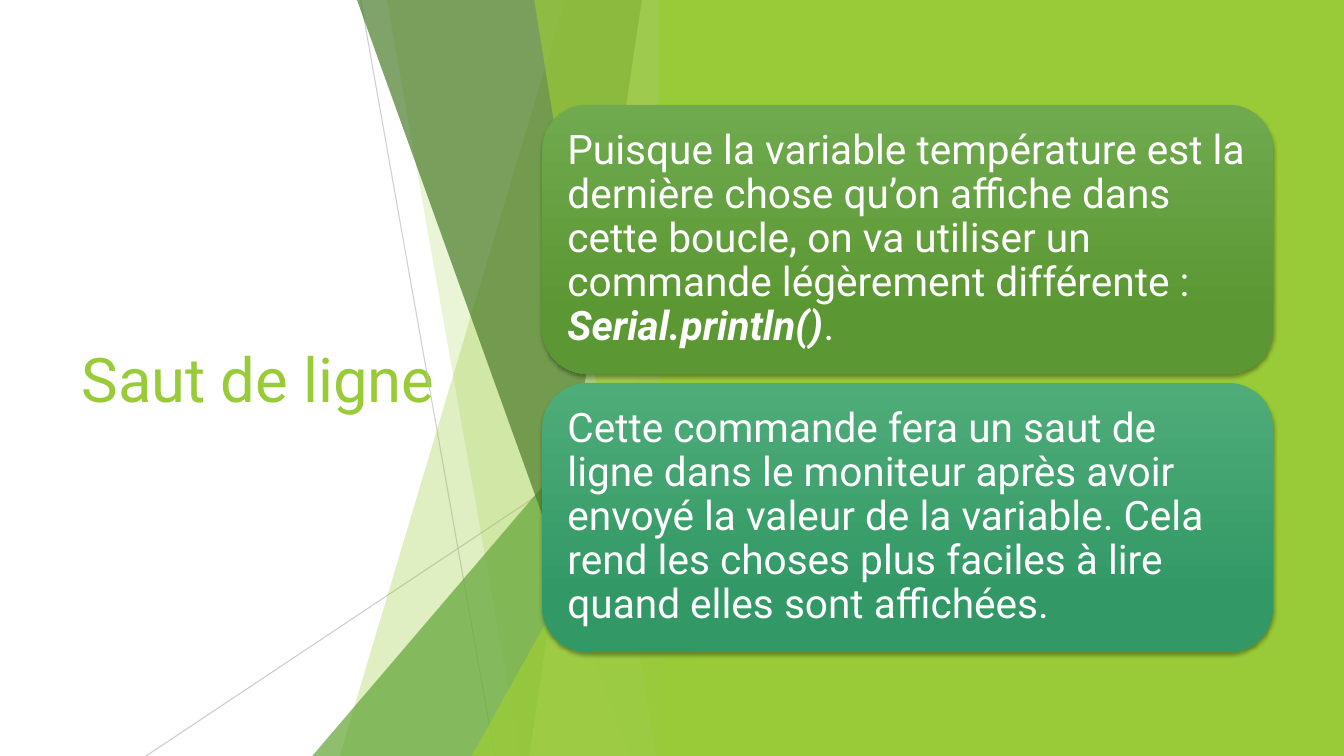
from lxml import etree
from pptx import Presentation
from pptx.dml.color import RGBColor
from pptx.enum.shapes import MSO_CONNECTOR, MSO_SHAPE
from pptx.enum.text import MSO_ANCHOR, MSO_AUTO_SIZE, PP_ALIGN
from pptx.oxml import parse_xml
from pptx.oxml.ns import nsdecls, qn
from pptx.util import Cm, Pt

WIDTH, HEIGHT = 33.87, 19.05
FACET_RIGHT = 16.92
LIME, LEAF, FOREST, PALE = "99CB38", "63A537", "4A7C29", "C2E088"
GREY, WHITE = "BFBFBF", "FFFFFF"


def rgb(value):
    return RGBColor.from_string(value)


def set_opacity(shape, percent):
    for color in shape.element.spPr.iter(qn("a:srgbClr")):
        etree.SubElement(color, qn("a:alpha")).set("val", str(percent * 1000))


class SlideBuilder:
    """Holds the text style and the slide being filled."""

    font_name = "Roboto"

    def __init__(self, slide):
        self.slide = slide
        self.shapes = slide.shapes

    def style(self, paragraph, size, color):
        paragraph.alignment = PP_ALIGN.LEFT
        paragraph.font.name = self.font_name
        paragraph.font.size = Pt(size)
        paragraph.font.color.rgb = rgb(color)

    def paint(self, shape, color, opacity):
        shape.shadow.inherit = False
        shape.fill.solid()
        shape.fill.fore_color.rgb = rgb(color)
        shape.line.fill.background()
        if opacity < 100:
            set_opacity(shape, opacity)

    def title(self, text, left, top, width, height):
        title = self.shapes.title
        title.left, title.top = Cm(left), Cm(top)
        title.width, title.height = Cm(width), Cm(height)
        frame = title.text_frame
        frame.text = text
        frame.word_wrap = True
        frame.auto_size = MSO_AUTO_SIZE.NONE
        frame.vertical_anchor = MSO_ANCHOR.MIDDLE
        self.style(frame.paragraphs[0], 44, LIME)

    def line(self, start, end, opacity):
        points = [Cm(value) for value in (*start, *end)]
        line = self.shapes.add_connector(MSO_CONNECTOR.STRAIGHT, *points)
        line.line.color.rgb = rgb(GREY)
        line.line.width = Pt(0.75)
        set_opacity(line, opacity)
        etree.SubElement(line.element.spPr, qn("a:effectLst"))

    def facet(self, top_x, bottom_x, color, opacity):
        """Full-height band with a slanted left edge."""
        top = Cm(-0.02)
        builder = self.shapes.build_freeform(Cm(top_x), top)
        builder.add_line_segments([
            (Cm(FACET_RIGHT), top),
            (Cm(FACET_RIGHT), Cm(HEIGHT)),
            (Cm(bottom_x), Cm(HEIGHT)),
        ])
        self.paint(builder.convert_to_shape(), color, opacity)

    def corner(self, left, top, color, opacity):
        """Right triangle filling the bottom right of the facets."""
        triangle = self.shapes.add_shape(
            MSO_SHAPE.ISOSCELES_TRIANGLE, Cm(left), Cm(top),
            Cm(FACET_RIGHT - left), Cm(HEIGHT - top))
        triangle.adjustments[0] = 1
        self.paint(triangle, color, opacity)

    def panel(self, left, color):
        panel = self.shapes.add_shape(
            MSO_SHAPE.RECTANGLE, Cm(left), 0, Cm(WIDTH - left), Cm(HEIGHT))
        self.paint(panel, color, 100)

    def card(self, top, colors, runs):
        """Rounded card; runs are (text, emphasised) pairs."""
        card = self.shapes.add_shape(
            MSO_SHAPE.ROUNDED_RECTANGLE, Cm(13.67), Cm(top), Cm(18.42), Cm(6.78))
        card.line.fill.background()
        card.fill.gradient()
        card.fill.gradient_angle = 270
        for stop, color, position in zip(card.fill.gradient_stops, colors, (0, 0.78)):
            stop.color.rgb = rgb(color)
            stop.position = position
        card.shadow.inherit = False
        card.element.spPr.find(qn("a:effectLst")).append(parse_xml(
            f'<a:outerShdw {nsdecls("a")} blurRad="{Pt(3)}" dist="{Pt(2)}" '
            'dir="5400000" rotWithShape="0"><a:srgbClr val="000000">'
            '<a:alpha val="35000"/></a:srgbClr></a:outerShdw>'))

        frame = card.text_frame
        frame.word_wrap = True
        frame.vertical_anchor = MSO_ANCHOR.MIDDLE
        frame.margin_left = frame.margin_right = Cm(0.3)
        frame.margin_top = frame.margin_bottom = Cm(0.3)
        paragraph = frame.paragraphs[0]
        paragraph.line_spacing = 0.9
        self.style(paragraph, 29, WHITE)
        for text, emphasised in runs:
            run = paragraph.add_run()
            run.text = text
            if emphasised:
                run.font.bold = run.font.italic = True


def main():
    presentation = Presentation()
    presentation.slide_width, presentation.slide_height = Cm(WIDTH), Cm(HEIGHT)
    builder = SlideBuilder(presentation.slides.add_slide(presentation.slide_layouts[5]))

    builder.title("Saut de ligne", 1.8, 3.84, 9.86, 11.38)

    builder.line((9.09, 0), (12.47, HEIGHT), 75)
    builder.line((FACET_RIGHT, 10.24), (3.68, HEIGHT), 80)
    builder.facet(14.25, 8.56, LIME, 30)
    builder.facet(9.75, 13.11, LIME, 20)
    builder.corner(7.87, 8.46, LEAF, 72)
    builder.facet(8.99, 15.85, FOREST, 70)
    builder.facet(16.18, 13.34, PALE, 70)
    builder.facet(13.46, 16.54, LIME, 65)
    builder.corner(11.89, 9.98, LIME, 80)
    builder.panel(16.61, LIME)

    cards = [
        (("6FAA4F", "5B9732"), [
            ("Puisque la variable température est la dernière chose qu’on affiche "
             "dans cette boucle, on va utiliser un commande légèrement différente : ",
             False),
            ("Serial.println()", True),
            (".", False),
        ]),
        (("4FAC79", "329966"), [
            ("Cette commande fera un saut de ligne dans le moniteur après avoir "
             "envoyé la valeur de la variable. Cela rend les choses plus faciles "
             "à lire quand elles sont affichées.", False),
        ]),
    ]
    for index, (colors, runs) in enumerate(cards):
        builder.card(2.64 + 7.01 * index, colors, runs)

    presentation.save("out.pptx")


if __name__ == "__main__":
    main()
